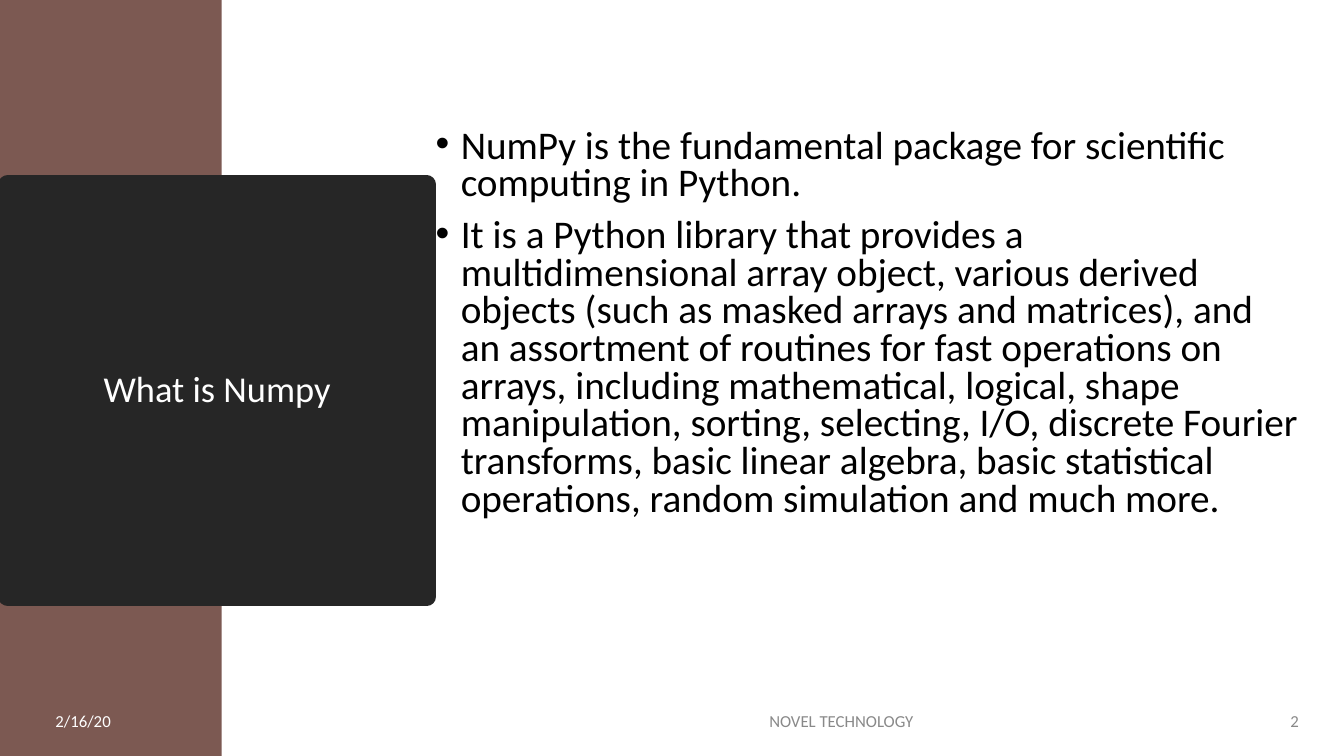
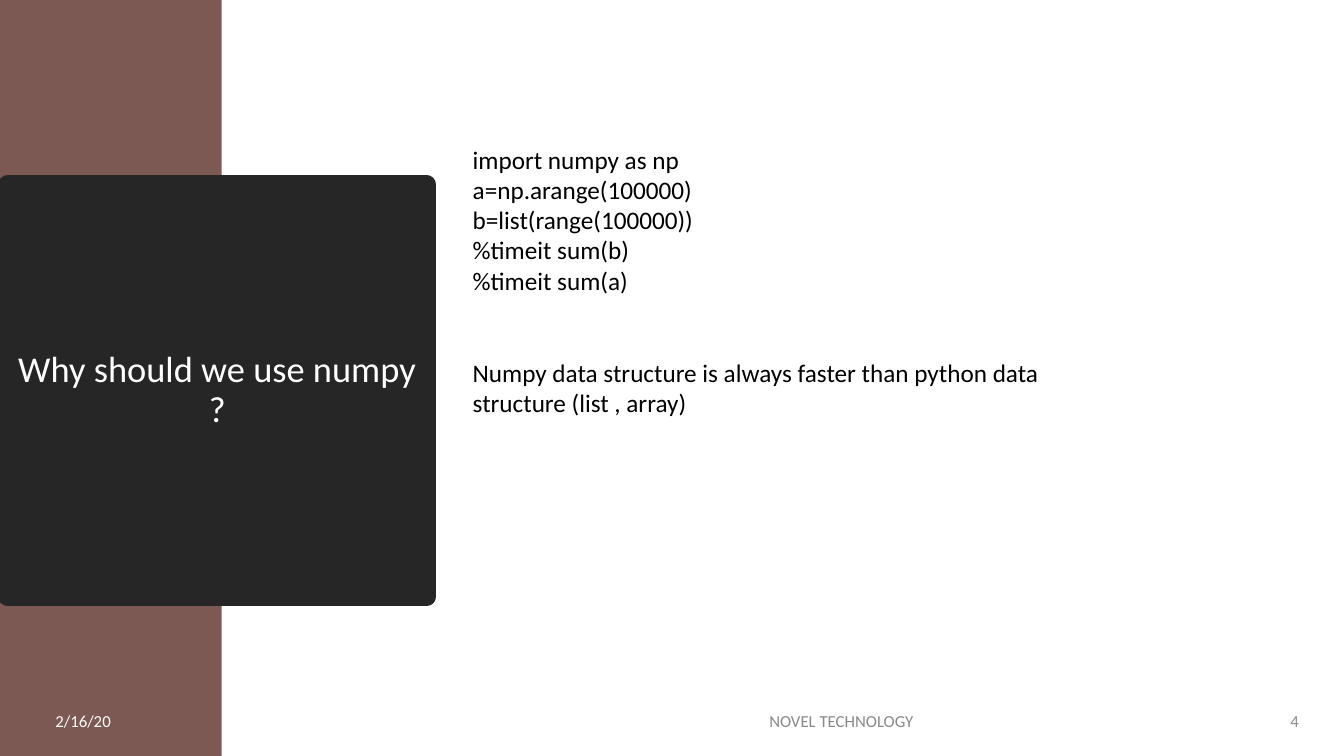
import pptx
import pptx.dml.color
import pptx.enum.shapes
import pptx.enum.text
import pptx.oxml.ns
import pptx.util
from dataclasses import dataclass
from lxml import etree

Inches = pptx.util.Inches
Pt = pptx.util.Pt
ALIGN = pptx.enum.text.PP_ALIGN
ANCHOR = pptx.enum.text.MSO_ANCHOR
FIT = pptx.enum.text.MSO_AUTO_SIZE
qn = pptx.oxml.ns.qn

FONT = "Calibri"
BAND, PANEL, WHITE, BLACK, GREY = "7C5952", "262626", "FFFFFF", "000000", "898989"
TITLE_AND_CONTENT, TITLE_ONLY = 1, 5
WIDTH, HEIGHT = 13.33, 7.5


@dataclass(frozen=True)
class Box:
    left: float
    top: float
    width: float
    height: float

    def lengths(self) -> list:
        return [Inches(v) for v in (self.left, self.top, self.width, self.height)]


@dataclass(frozen=True)
class Footer:
    left: float
    width: float
    text: str
    color: str
    align: ALIGN


FOOTERS = [
    Footer(0.45, 1.62, "2/16/20", WHITE, ALIGN.LEFT),
    Footer(4.5, 7.69, "NOVEL TECHNOLOGY", GREY, ALIGN.CENTER),
    Footer(12.37, 0.61, "{number}", GREY, ALIGN.RIGHT),
]
TITLE_BOX = Box(0.08, 1.83, 4.15, 4.09)
BODY_BOX = Box(4.22, 1.23, 8.76, 4.46)
CODE_BOX = Box(4.59, 1.38, 6.67, 3.74)


def rgb(color: str) -> pptx.dml.color.RGBColor:
    return pptx.dml.color.RGBColor.from_string(color)


def place(sp, box: Box) -> None:
    sp.left, sp.top, sp.width, sp.height = box.lengths()


def write(tf, lines: list[str], *, size: float, color: str, align=ALIGN.LEFT,
          anchor=ANCHOR.TOP, spacing: float = 1.0, before: float = 0,
          after: float = 0, fit=FIT.NONE, bullet: bool = False) -> None:
    tf.word_wrap = True
    tf.auto_size = fit
    tf.vertical_anchor = anchor
    for i, line in enumerate(lines):
        p = tf.paragraphs[0] if i == 0 else tf.add_paragraph()
        p.alignment = align
        p.line_spacing = spacing
        p.space_before, p.space_after = Pt(before), Pt(after)
        r = p.add_run()
        r.text = line
        r.font.name = FONT
        r.font.size = Pt(size)
        r.font.color.rgb = rgb(color)
        if bullet:
            pPr = p._p.get_or_add_pPr()
            pPr.set("marL", str(Inches(0.25)))
            pPr.set("indent", str(-Inches(0.25)))
            etree.SubElement(pPr, qn("a:buChar")).set("char", "•")


def add_base(prs, layout: int, title: str, number: int):
    s = prs.slides.add_slide(prs.slide_layouts[layout])
    band = s.shapes.add_shape(pptx.enum.shapes.MSO_SHAPE.RECTANGLE,
                              *Box(0, 0, 2.2, HEIGHT).lengths())
    band.shadow.inherit = False
    band.fill.solid()
    band.fill.fore_color.rgb = rgb(BAND)
    band.line.fill.background()
    s.shapes._spTree.insert(2, band._element)

    sp = s.shapes.title
    place(sp, TITLE_BOX)
    sp.fill.solid()
    sp.fill.fore_color.rgb = rgb(PANEL)
    sp.line.color.rgb = rgb(PANEL)
    sp.line.width = Pt(13.75)
    etree.SubElement(sp.line._get_or_add_ln(), qn("a:round"))
    write(sp.text_frame, [title], size=26, color=WHITE, align=ALIGN.CENTER,
          anchor=ANCHOR.MIDDLE, spacing=0.9)

    for footer in FOOTERS:
        sp = s.shapes.add_textbox(*Box(footer.left, 6.95, footer.width, 0.4).lengths())
        write(sp.text_frame, [footer.text.format(number=number)], size=12,
              color=footer.color, align=footer.align, anchor=ANCHOR.MIDDLE, after=6)
    return s


def add_definition(prs) -> None:
    s = add_base(prs, TITLE_AND_CONTENT, "What is Numpy", 2)
    body = s.placeholders[1]
    place(body, BODY_BOX)
    write(body.text_frame, [
        "NumPy is the fundamental package for scientific computing in Python.",
        "It is a Python library that provides a multidimensional array object, "
        "various derived objects (such as masked arrays and matrices), and an "
        "assortment of routines for fast operations on arrays, including "
        "mathematical, logical, shape manipulation, sorting, selecting, I/O, "
        "discrete Fourier transforms, basic linear algebra, basic statistical "
        "operations, random simulation and much more.",
    ], size=28, color=BLACK, spacing=0.8, before=10, bullet=True)


def add_comparison(prs) -> None:
    s = add_base(prs, TITLE_ONLY, "Why should we use numpy ?", 4)
    tf = s.shapes.add_textbox(*CODE_BOX.lengths()).text_frame
    write(tf, [
        "import numpy as np",
        "a=np.arange(100000)",
        "b=list(range(100000))",
        "%timeit sum(b)",
        "%timeit sum(a)",
        "Numpy data structure is always faster than python data structure (list , array)",
    ], size=18, color=BLACK, fit=FIT.SHAPE_TO_FIT_TEXT)
    tf.paragraphs[-1].space_before = Pt(44)


prs = pptx.Presentation()
prs.slide_width, prs.slide_height = Inches(WIDTH), Inches(HEIGHT)
add_definition(prs)
add_comparison(prs)
prs.save("out.pptx")
